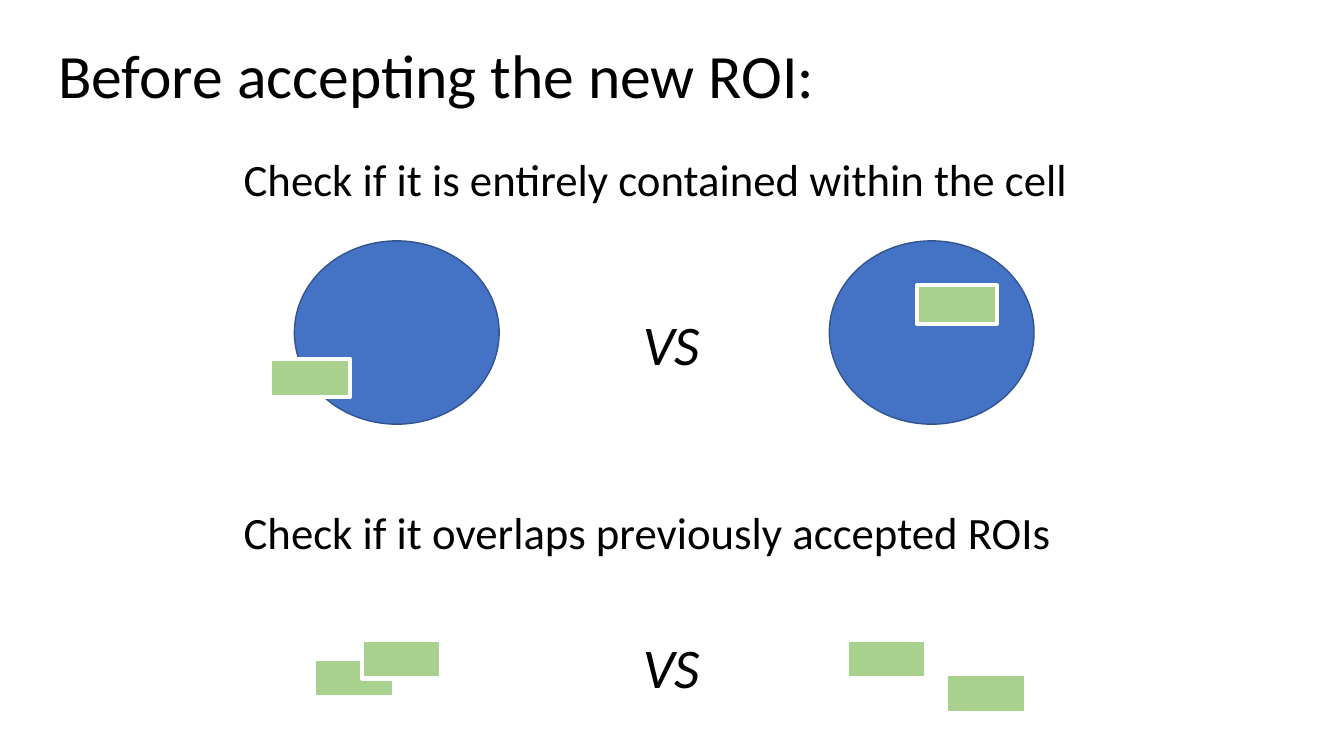
import pptx
import pptx.dml.color
import pptx.enum.shapes
import pptx.enum.text
import pptx.util

Cm = pptx.util.Cm
Pt = pptx.util.Pt
RGBColor = pptx.dml.color.RGBColor
MSO_SHAPE = pptx.enum.shapes.MSO_SHAPE

BLACK = RGBColor(0x00, 0x00, 0x00)
WHITE = RGBColor(0xFF, 0xFF, 0xFF)
CELL_BLUE = RGBColor(0x44, 0x72, 0xC4)
CELL_EDGE = RGBColor(0x32, 0x54, 0x91)
ROI_GREEN = RGBColor(0xA9, 0xD1, 0x8E)


class SlideBuilder:
    font = "Calibri"
    cell_size = (5.16, 4.62)
    roi_size = (2.01, 0.97)

    def __init__(self, slide):
        self.slide = slide

    def text(self, text, x, y, w, h, size, italic=None):
        sp = self.slide.shapes.add_textbox(Cm(x), Cm(y), Cm(w), Cm(h))
        tf = sp.text_frame
        tf.word_wrap = False
        tf.auto_size = pptx.enum.text.MSO_AUTO_SIZE.SHAPE_TO_FIT_TEXT
        p = tf.paragraphs[0]
        p.text = text
        p.font.name = self.font
        p.font.size = Pt(size)
        p.font.italic = italic
        p.font.color.rgb = BLACK

    def shape(self, kind, x, y, size, fill, line, line_width):
        w, h = size
        sp = self.slide.shapes.add_shape(kind, Cm(x), Cm(y), Cm(w), Cm(h))
        sp.shadow.inherit = False
        sp.fill.solid()
        sp.fill.fore_color.rgb = fill
        sp.line.color.rgb = line
        sp.line.width = Pt(line_width)

    def cell(self, x, y):
        self.shape(MSO_SHAPE.OVAL, x, y, self.cell_size, CELL_BLUE, CELL_EDGE, 1)

    def roi(self, x, y):
        self.shape(MSO_SHAPE.RECTANGLE, x, y, self.roi_size, ROI_GREEN, WHITE, 3)

    def versus(self, y):
        self.text("VS", 15.95, y, 1.98, 1.96, 40, italic=True)


def main():
    prs = pptx.Presentation()
    prs.slide_width = Cm(33.87)
    prs.slide_height = Cm(19.05)
    s = SlideBuilder(prs.slides.add_slide(prs.slide_layouts[6]))

    # Title
    s.text("Before accepting the new ROI:", 1.22, 0.81, 19.79, 2.13, 44)

    # First check: ROI crossing the cell edge, ROI inside the cell
    s.text("Check if it is entirely contained within the cell",
           5.89, 3.71, 22.07, 1.63, 32)
    for x in (7.42, 20.9):
        s.cell(x, 6.07)
    s.roi(6.81, 9.04)
    s.roi(23.11, 7.19)
    s.versus(7.67)

    # Second check: overlapping ROIs, separate ROIs
    s.text("Check if it overlaps previously accepted ROIs",
           5.89, 12.6, 21.06, 1.63, 32)
    for x, y in ((7.92, 16.61), (9.12, 16.13), (23.85, 16.99), (21.34, 16.13)):
        s.roi(x, y)
    s.versus(15.82)

    prs.save("out.pptx")


if __name__ == "__main__":
    main()
